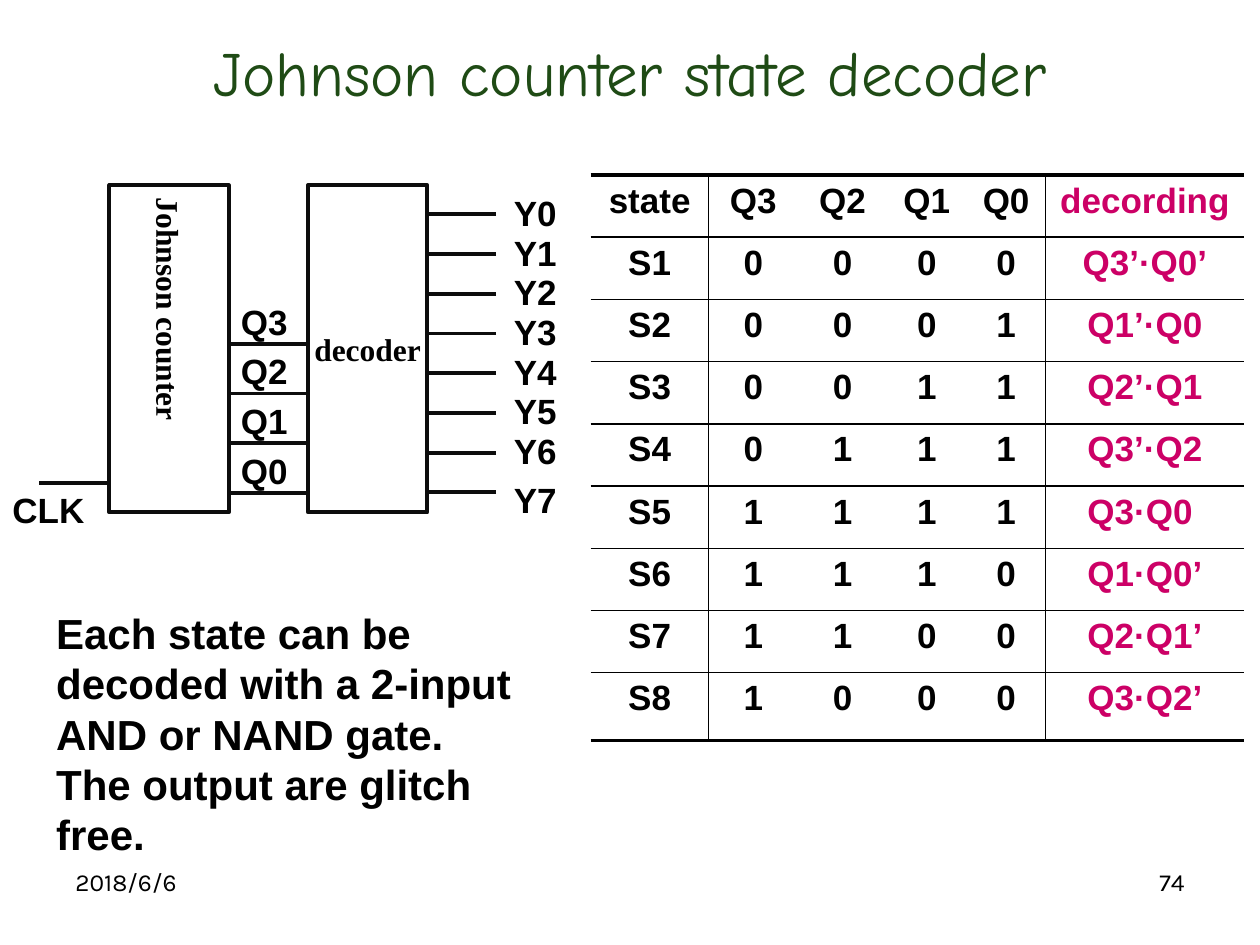
from lxml import etree
from pptx import Presentation
from pptx.dml.color import RGBColor
from pptx.enum.shapes import MSO_CONNECTOR, MSO_SHAPE
from pptx.enum.text import MSO_ANCHOR, PP_ALIGN
from pptx.oxml.ns import qn
from pptx.util import Pt

LEFT, CENTER, RIGHT = PP_ALIGN.LEFT, PP_ALIGN.CENTER, PP_ALIGN.RIGHT
MIDDLE = MSO_ANCHOR.MIDDLE
RECTANGLE = MSO_SHAPE.RECTANGLE
STRAIGHT = MSO_CONNECTOR.STRAIGHT
BLACK, INK, PINK, GREEN = "000000", "0D0D0D", "CC0066", "1F4B15"


def color(value):
    return RGBColor.from_string(value)


def write(frame, text, size, font="Arial", fill=BLACK, bold=True, align=LEFT):
    para = frame.paragraphs[0]
    para.alignment = align
    span = para.add_run()
    span.text = text
    span.font.size = Pt(size)
    span.font.name = font
    span.font.bold = bold
    span.font.color.rgb = color(fill)


deck = Presentation()
deck.slide_width, deck.slide_height = Pt(720), Pt(540)
page = deck.slides.add_slide(deck.slide_layouts[5])

title = page.shapes.title
title.left, title.top, title.width, title.height = Pt(36), Pt(15), Pt(648), Pt(51)
title.text_frame.vertical_anchor = MIDDLE
write(title.text_frame, "Johnson counter state decoder", 36, "Comic Neue", GREEN, False, CENTER)

for left, text, align in [(36, "2018/6/6", LEFT), (516, "74", RIGHT)]:
    box = page.shapes.add_textbox(Pt(left), Pt(492), Pt(168), Pt(37.5))
    box.text_frame.word_wrap = True
    write(box.text_frame, text, 14, "Karla", bold=False, align=align)

states = [
    ["state", "Q3", "Q2", "Q1", "Q0", "decording"],
    ["S1", "0", "0", "0", "0", "Q3’·Q0’"],
    ["S2", "0", "0", "0", "1", "Q1’·Q0"],
    ["S3", "0", "0", "1", "1", "Q2’·Q1"],
    ["S4", "0", "1", "1", "1", "Q3’·Q2"],
    ["S5", "1", "1", "1", "1", "Q3·Q0 "],
    ["S6", "1", "1", "1", "0", "Q1·Q0’"],
    ["S7", "1", "1", "0", "0", "Q2·Q1’"],
    ["S8", "1", "0", "0", "0", "Q3·Q2’"],
]
widths = [67.5, 51, 51, 45.3, 45.3, 113.4]
heights = [35.55] * 8 + [38.9]
last_row = len(states) - 1
table = page.shapes.add_table(
    len(states), len(widths), Pt(337.5), Pt(100), Pt(sum(widths)), Pt(sum(heights))
).table
table.first_row = table.horz_banding = False
for column, width in zip(table.columns, widths):
    column.width = Pt(width)
for row, height in zip(table.rows, heights):
    row.height = Pt(height)

for r, values in enumerate(states):
    for c, value in enumerate(values):
        cell = table.cell(r, c)
        write(cell.text_frame, value, 20, fill=PINK if c == 5 else BLACK, align=CENTER)
        borders = {
            "a:lnL": 1 if c in (1, 5) else 0,
            "a:lnR": 1 if c in (0, 4) else 0,
            "a:lnT": 2.25 if r == 0 else 1,
            "a:lnB": 2.25 if r == last_row else 1,
        }
        properties = cell._tc.get_or_add_tcPr()
        for tag, weight in borders.items():
            border = etree.SubElement(properties, qn(tag), w=str(Pt(weight)))
            if weight:
                paint = etree.SubElement(border, qn("a:solidFill"))
                etree.SubElement(paint, qn("a:srgbClr"), val=BLACK)
            else:
                etree.SubElement(border, qn("a:noFill"))
        cell.fill.background()

note = page.shapes.add_textbox(Pt(25), Pt(343.5), Pt(278), Pt(151))
note.text_frame.word_wrap = True
write(
    note.text_frame,
    "Each state can be decoded with a 2-input AND or NAND gate. The output are glitch free.",
    24,
)

for left, text, direction in [(62.5, "Johnson counter", "eaVert"), (176, "decoder", "horz")]:
    block = page.shapes.add_shape(RECTANGLE, Pt(left), Pt(105.8), Pt(68.2), Pt(187))
    block.shadow.inherit = False
    block.fill.background()
    block.line.color.rgb = color(INK)
    block.line.width = Pt(2.25)
    block.text_frame.word_wrap = False
    block.text_frame.vertical_anchor = MIDDLE
    block.text_frame._txBody.bodyPr.set("vert", direction)
    write(block.text_frame, text, 18, "Times New Roman", align=CENTER)

wires = [(62, 22.5, 275.8)]
wires += [(176, 130.5, 196.5 + 28.35 * i) for i in range(4)]
wires += [(283.5, 244, 122.5 + 22.7 * i) for i in range(8)]
for start, end, y in wires:
    wire = page.shapes.add_connector(STRAIGHT, Pt(start), Pt(y), Pt(end), Pt(y))
    wire.line.color.rgb = color(INK)
    wire.line.width = Pt(2.25)
    etree.SubElement(wire._element.spPr, qn("a:effectLst"))

labels = [("CLK", 0, 275.8, 62.5)]
labels += [(f"Q{3 - i}", 130.5, 168 + 28.35 * i, 45.5) for i in range(4)]
labels += [(f"Y{i}", 286.5, 105.8 + 22.7 * i, 45.5) for i in range(7)]
labels += [("Y7", 286.5, 270, 45.5)]
for text, left, top, width in labels:
    box = page.shapes.add_textbox(Pt(left), Pt(top), Pt(width), Pt(31))
    box.text_frame.word_wrap = True
    write(box.text_frame, text, 20)

deck.save("out.pptx")
